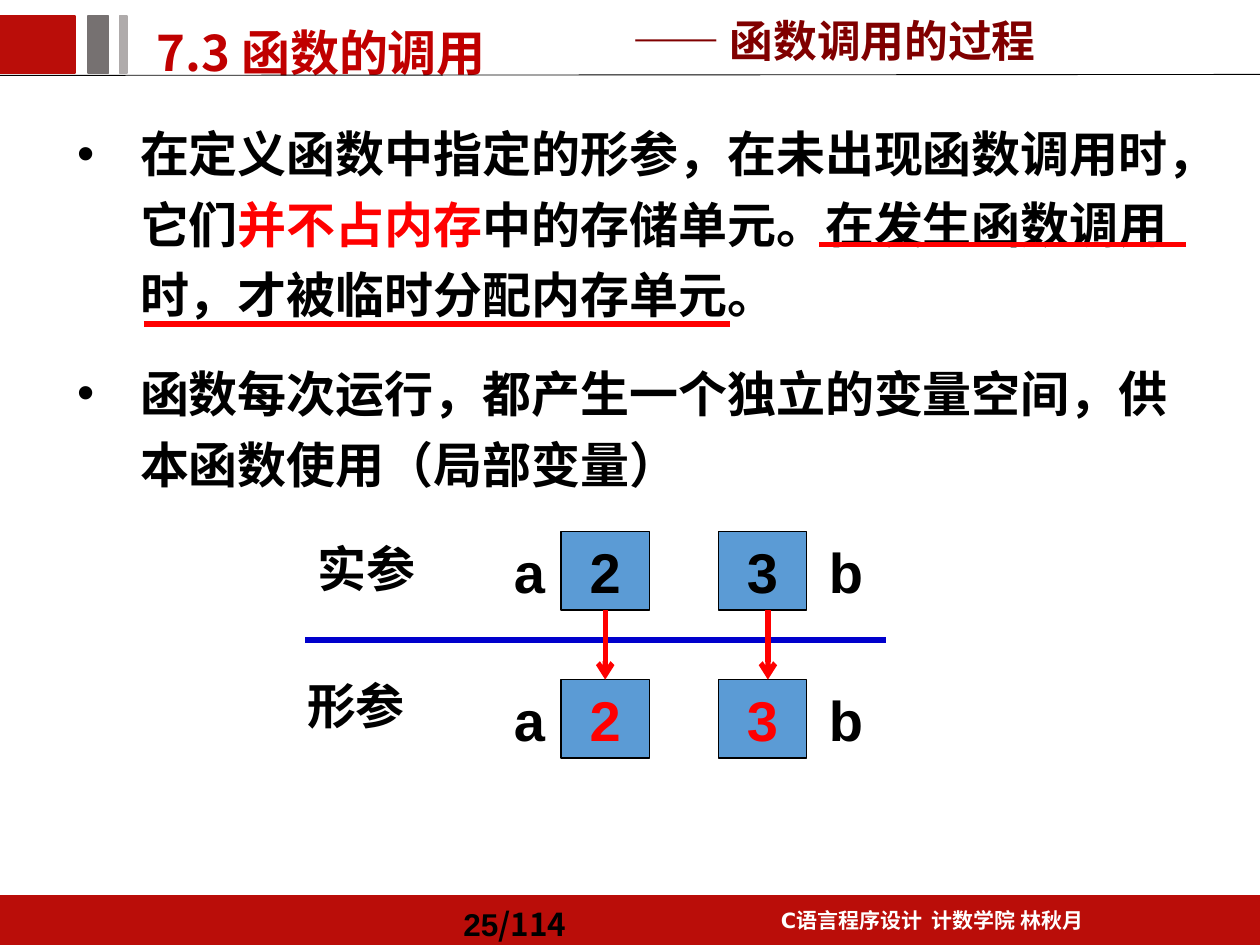
import pptx
import pptx.util
import pptx.dml.color
import pptx.enum.shapes
import pptx.enum.text
import pptx.oxml.ns
from lxml import etree
from pptx.util import Cm, Pt

CJK, LATIN = "Noto Sans CJK SC", "Arial"
BRAND, RED, BLACK = "BA0D09", "FF0000", "000000"
ALIGN = pptx.enum.text.PP_ALIGN
ANCHOR = pptx.enum.text.MSO_ANCHOR
SHAPE = pptx.enum.shapes.MSO_SHAPE

# Content; all places are (left, top, width, height) in cm
HEADING = "7.3 函数的调用"
SUBTITLE = "—— 函数调用的过程"
POINTS = [
    [("在定义函数中指定的形参，在未出现函数调用时，它们", BLACK),
     ("并不占内存", RED),
     ("中的存储单元。在发生函数调用时，才被临时分配内存单元。", BLACK)],
    [("函数每次运行，都产生一个独立的变量空间，供本函数使用（局部变量）", BLACK)],
]
PAGE = [("25", {"font": LATIN}), ("/114", {"font": CJK})]
COURSE = [("C", {"font": "DejaVu Sans"}), ("语言程序设计  计数学院 林秋月", {"font": LATIN})]
BANDS = [
    ((0, 18.06, 25.4, 0.99), BRAND),
    ((0, 0.33, 1.52, 1.14), BRAND),
    ((1.78, 0.33, 0.41, 1.14), "767171"),
    ((2.41, 0.33, 0.15, 1.14), "AFABAB"),
]
RULES = [
    ((0, 1.52), (25.4, 1.5), BLACK, 0.5),
    ((16.51, 4.93), (23.9, 4.93), RED, 3),
    ((2.9, 6.53), (14.71, 6.53), RED, 3),
    ((6.15, 12.9), (17.86, 12.9), "0000CC", 3),
]
# Row label, its left, label top, box top, colour of the values
PARAMETER_ROWS = [
    ("实参", 6.15, 10.72, 10.72, BLACK),
    ("形参", 5.94, 13.49, 13.7, RED),
]
# Variable name, its left, its value, box left, arrow's offset from the box middle
VARIABLES = [("a", 10.11, "2", 11.31, 0), ("b", 16.46, "3", 14.48, 0.11)]
BOX_WIDTH, BOX_HEIGHT = 1.78, 1.58


def rgb(hex_string):
    return pptx.dml.color.RGBColor.from_string(hex_string)


def place(shape, box):
    shape.left, shape.top, shape.width, shape.height = map(Cm, box)


def write(frame, paragraphs, size=28, font=CJK, color=BLACK, align=ALIGN.LEFT,
          anchor=ANCHOR.TOP, wrap=True, spacing=1.0, after=0, indent=0):
    """Fill a text frame; each paragraph is a list of (text, overrides) runs."""
    frame.auto_size = pptx.enum.text.MSO_AUTO_SIZE.NONE
    frame.word_wrap, frame.vertical_anchor = wrap, anchor
    for number, runs in enumerate(paragraphs):
        paragraph = frame.add_paragraph() if number else frame.paragraphs[0]
        paragraph.alignment, paragraph.line_spacing = align, spacing
        paragraph.space_before, paragraph.space_after = Pt(0), Pt(after)
        if indent:
            properties = paragraph._p.get_or_add_pPr()
            properties.set("marL", str(Cm(indent)))
            properties.set("indent", str(-Cm(indent)))
        for text, overrides in runs:
            style = {"font": font, "color": color, **overrides}
            run = paragraph.add_run()
            run.text = text
            run.font.name, run.font.size, run.font.bold = style["font"], Pt(size), True
            run.font.color.rgb = rgb(style["color"])
            if style["font"] == CJK:
                east_asian = etree.SubElement(run._r.rPr, pptx.oxml.ns.qn("a:ea"))
                east_asian.set("typeface", CJK)


def add_text(slide, box, runs, **style):
    write(slide.shapes.add_textbox(*map(Cm, box)).text_frame, [runs], **style)


def add_box(slide, box, fill, line, width, kind=SHAPE.RECTANGLE):
    shape = slide.shapes.add_shape(kind, *map(Cm, box))
    shape.shadow.inherit = False
    shape.fill.solid()
    shape.fill.fore_color.rgb = rgb(fill)
    shape.line.color.rgb = rgb(line)
    shape.line.width = Pt(width)
    return shape


def add_line(slide, start, end, color, width, arrow=False):
    line = slide.shapes.add_connector(
        pptx.enum.shapes.MSO_CONNECTOR.STRAIGHT, *map(Cm, start + end))
    line.line.color.rgb = rgb(color)
    line.line.width = Pt(width)
    if arrow:
        tail = etree.SubElement(line.line._get_or_add_ln(), pptx.oxml.ns.qn("a:tailEnd"))
        tail.set("type", "arrow")
    etree.SubElement(line._element.spPr, pptx.oxml.ns.qn("a:effectLst"))
    return line


def add_parameters(slide):
    """Draw both rows of variables, with an arrow from each value to its copy."""
    boxes = {}
    for label, label_left, label_top, top, color in PARAMETER_ROWS:
        add_text(slide, (label_left, label_top, 3.18, 1.45), [(label, {})],
                 anchor=ANCHOR.MIDDLE)
        for name, name_left, value, left, _ in VARIABLES:
            box = add_box(slide, (left, top, BOX_WIDTH, BOX_HEIGHT), "5B9BD5", BLACK,
                          0.75, SHAPE.FLOWCHART_PROCESS)
            write(box.text_frame, [[(value, {})]], size=32, font=LATIN, color=color,
                  align=ALIGN.CENTER, anchor=ANCHOR.MIDDLE, wrap=False)
            add_text(slide, (name_left, top, 1.4, 1.63), [(name, {})],
                     size=32, font=LATIN)
            boxes[label, name] = box
    (actual, *_, actual_top, _), (formal, *_, formal_top, _) = PARAMETER_ROWS
    for name, _, _, left, offset in VARIABLES:
        middle = left + BOX_WIDTH / 2 + offset
        arrow = add_line(slide, (middle, actual_top + BOX_HEIGHT), (middle, formal_top),
                         RED, 3, arrow=True)
        if not offset:
            arrow.begin_connect(boxes[actual, name], 2)
            arrow.end_connect(boxes[formal, name], 0)


def main():
    deck = pptx.Presentation()
    deck.slide_width, deck.slide_height = Cm(25.4), Cm(19.05)
    slide = deck.slides.add_slide(deck.slide_layouts[1])
    heading, points = slide.placeholders

    for box, color in BANDS:
        add_box(slide, box, color, color, 1)
    for rule in RULES:
        add_line(slide, *rule)

    place(heading, (2.9, 0.08, 14.1, 1.57))
    write(heading.text_frame, [[(HEADING, {})]], color="C00000", spacing=1.2)
    place(points, (1.3, 2.13, 22.71, 7.75))
    write(points.text_frame,
          [[(text, {"color": color}) for text, color in point] for point in POINTS],
          spacing=1.2, after=16, indent=1.27)

    add_text(slide, (12.5, 0.14, 12.9, 1.32), [(SUBTITLE, {})], size=25, font=LATIN,
             color="800000", anchor=ANCHOR.MIDDLE)
    add_text(slide, (9.09, 18.06, 3.61, 0.99), PAGE, size=18, anchor=ANCHOR.MIDDLE,
             spacing=1.2)
    add_text(slide, (14.3, 18.06, 8.99, 0.86), COURSE, size=12, color="FFFFFF",
             align=ALIGN.CENTER, spacing=1.2)
    add_parameters(slide)
    deck.save("out.pptx")


if __name__ == "__main__":
    main()
